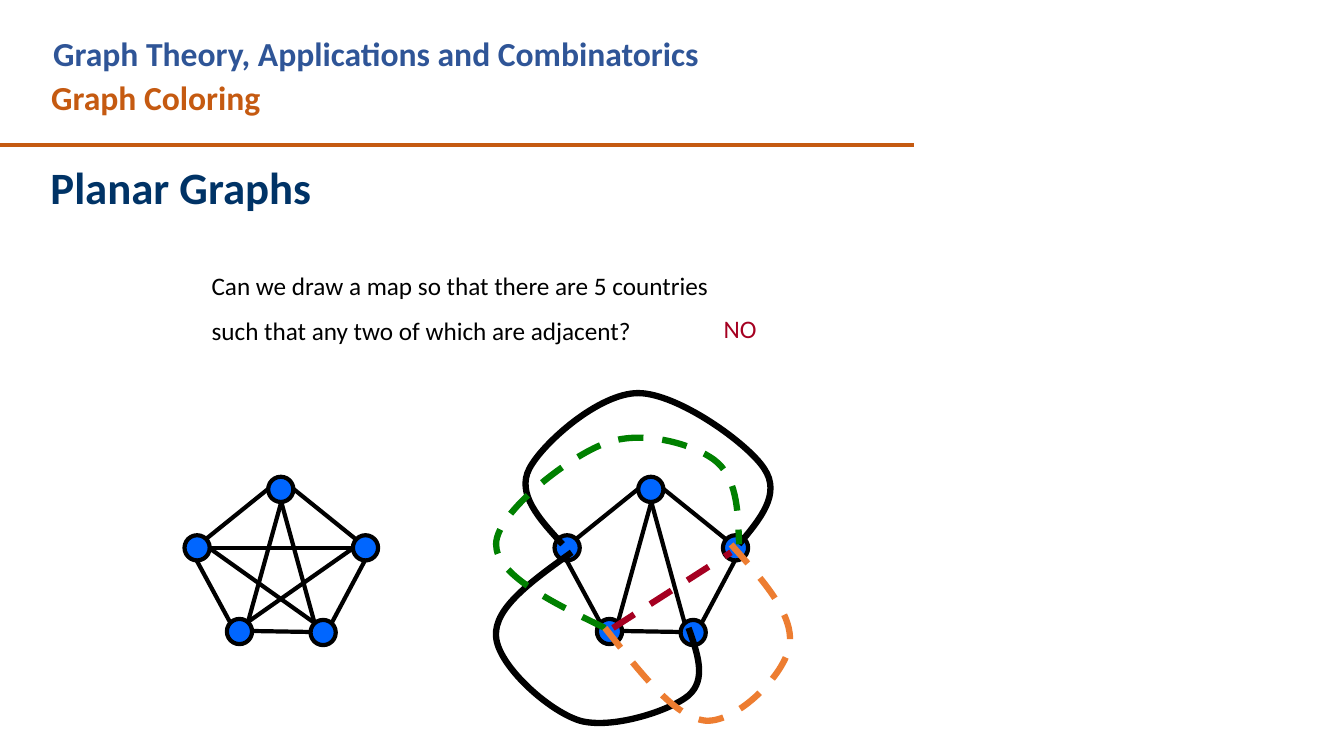
from lxml import etree
from pptx import Presentation
from pptx import util as u
from pptx.dml.color import RGBColor
from pptx.enum import dml, shapes, text
from pptx.oxml import ns

RUST = RGBColor(0xC5, 0x5A, 0x11)
BLUE = RGBColor(0x2F, 0x55, 0x97)
NAVY = RGBColor(0x00, 0x33, 0x66)
NODE = RGBColor(0x00, 0x66, 0xFF)
BLACK = RGBColor(0x00, 0x00, 0x00)
RED = RGBColor(0xA5, 0x00, 0x21)
GREEN = RGBColor(0x00, 0x80, 0x00)
ORANGE = RGBColor(0xED, 0x7D, 0x31)

# Graph parts, in inches from the top left of the graph
SIZE = 0.25
NODES = [(0.42, 1.41), (0, 0.58), (1.67, 0.58), (0.83, 0), (1.25, 1.42)]
EDGES = [
    ((0.67, 1.53), (1.25, 1.54)),
    ((1.08, 0.12), (1.7, 0.62)),
    ((1.79, 0.83), (1.46, 1.45)),
    ((0.83, 0.12), (0.21, 0.62)),
    ((0.12, 0.83), (0.45, 1.44)),
    ((0.96, 0.25), (1.29, 1.45)),
    ((0.96, 0.25), (0.63, 1.44)),
    ((1.92, 0.71), (1.92, 0.71)),
]
CROSSED = [
    ((0.25, 0.71), (1.67, 0.71)),
    ((1.29, 1.45), (0.25, 0.71)),
    ((0.63, 1.44), (1.67, 0.71)),
]

# Bezier curves: a start point, then three points for each piece
OVER = [(0.08, 0.67), (-0.15, 0.42), (-0.38, 0.17), (-0.25, -0.08),
        (-0.12, -0.33), (0.44, -0.83), (0.83, -0.83),
        (1.22, -0.83), (1.92, -0.33), (2.08, -0.08),
        (2.25, 0.17), (2.04, 0.42), (1.83, 0.67)]
UNDER = [(0.17, 0.75), (-0.22, 1.03), (-0.6, 1.3), (-0.58, 1.58),
         (-0.57, 1.86), (-0.07, 2.32), (0.25, 2.42),
         (0.57, 2.51), (1.15, 2.32), (1.33, 2.17),
         (1.51, 2.01), (1.42, 1.76), (1.33, 1.5)]
LEFT = [(0.5, 1.5), (-0.04, 1.24), (-0.58, 0.97), (-0.58, 0.67),
        (-0.58, 0.36), (0.14, -0.2), (0.5, -0.33),
        (0.86, -0.47), (1.36, -0.33), (1.58, -0.17),
        (1.81, 0), (1.82, 0.33), (1.83, 0.67)]
RIGHT = [(0.5, 1.5), (0.85, 1.94), (1.19, 2.39), (1.5, 2.42),
         (1.81, 2.44), (2.29, 1.96), (2.33, 1.67),
         (2.38, 1.37), (2.06, 1.02), (1.75, 0.67)]


def style(line, color, width, dash=False):
    line.color.rgb = color
    line.width = u.Pt(width)
    if dash:
        line.dash_style = dml.MSO_LINE.DASH


def write(shape, lines, size, color, bold=False):
    frame = shape.text_frame
    frame.word_wrap = True
    frame.auto_size = text.MSO_AUTO_SIZE.NONE
    frame.vertical_anchor = text.MSO_ANCHOR.TOP
    for i, words in enumerate(lines):
        para = frame.add_paragraph() if i else frame.paragraphs[0]
        para.alignment = text.PP_ALIGN.LEFT
        para.line_spacing = 1.5 if i else 1.0
        run = para.add_run()
        run.text = words
        font = run.font
        font.name, font.size, font.bold = "Calibri", u.Pt(size), bold
        font.color.rgb = color


def label(slide, box, lines, size, color, bold=False):
    shape = slide.shapes.add_textbox(*map(u.Inches, box))
    write(shape, lines, size, color, bold)


def link(parts, start, end, color, width, dash=False):
    ends = map(u.Inches, (*start, *end))
    line = parts.add_connector(shapes.MSO_CONNECTOR.STRAIGHT, *ends)
    style(line.line, color, width, dash)
    etree.SubElement(line._element.spPr, ns.qn("a:effectLst"))


def bend(shape):
    """Turn each three straight pieces into one cubic Bezier piece."""
    steps = list(shape._element.iter(ns.qn("a:lnTo")))
    for i in range(0, len(steps), 3):
        first, *rest = steps[i:i + 3]
        cubic = etree.Element(ns.qn("a:cubicBezTo"))
        first.addprevious(cubic)
        for step in (first, *rest):
            cubic.append(step[0])
            step.getparent().remove(step)


def curve(parts, x, y, points, color, dash=False):
    spots = [(u.Inches(x + a), u.Inches(y + b)) for a, b in points]
    build = parts.build_freeform(*spots[0])
    build.add_line_segments(spots[1:], close=False)
    shape = build.convert_to_shape()
    bend(shape)
    shape.shadow.inherit = False
    shape.fill.background()
    style(shape.line, color, 4.5, dash)


def header(slide, x, y):
    label(slide, (x + 0.01, y + 0.43, 8.75, 0.5), ["Graph Coloring"],
          24, RUST, True)
    link(slide.shapes, (-0.01, y + 1.16), (9.07, y + 1.16), RUST, 3)
    label(slide, (x + 0.03, y, 8.2, 0.5),
          ["Graph Theory, Applications and Combinatorics"], 24, BLUE, True)
    title = slide.shapes.title
    title.left, title.top = u.Inches(x), u.Inches(y + 1.25)
    title.width, title.height = u.Inches(3.71), u.Inches(0.64)
    write(title, ["Planar Graphs"], 32, NAVY, True)


def question(slide, x, y):
    label(slide, (x, y, 5.94, 0.85),
          ["Can we draw a map so that there are 5 countries",
           "such that any two of which are adjacent?"], 18, BLACK)
    label(slide, (x + 5.08, y + 0.43, 0.6, 0.4), ["NO"], 18, RED)


def graph(parts, x, y, edges):
    for a, b in NODES:
        box = map(u.Inches, (x + a, y + b, SIZE, SIZE))
        node = parts.add_shape(shapes.MSO_SHAPE.OVAL, *box)
        node.shadow.inherit = False
        node.fill.solid()
        node.fill.fore_color.rgb = NODE
        style(node.line, BLACK, 3)
    for (a, b), (c, d) in edges:
        link(parts, (x + a, y + b), (x + c, y + d), BLACK, 3)


def planar(parts, x, y):
    graph(parts, x, y, EDGES)
    # Edges drawn around the outside
    curve(parts, x, y, OVER, BLACK)
    curve(parts, x, y, UNDER, BLACK)
    # Failed tries at the last edge
    link(parts, (x + 0.58, y + 1.5), (x + 1.75, y + 0.75), RED, 4.5, True)
    curve(parts, x, y, LEFT, GREEN, True)
    curve(parts, x, y, RIGHT, ORANGE, True)


def main():
    deck = Presentation()
    deck.slide_width, deck.slide_height = u.Inches(13.33), u.Inches(7.5)
    slide = deck.slides.add_slide(deck.slide_layouts[5])
    header(slide, 0.4, 0.28)
    # Complete graph on five nodes, kept as one group
    group = slide.shapes.add_group_shape()
    graph(group.shapes, 1.83, 4.73, EDGES + CROSSED)
    question(slide, 2, 2.63)
    planar(slide.shapes, 5.5, 4.73)
    deck.save("out.pptx")


if __name__ == "__main__":
    main()
